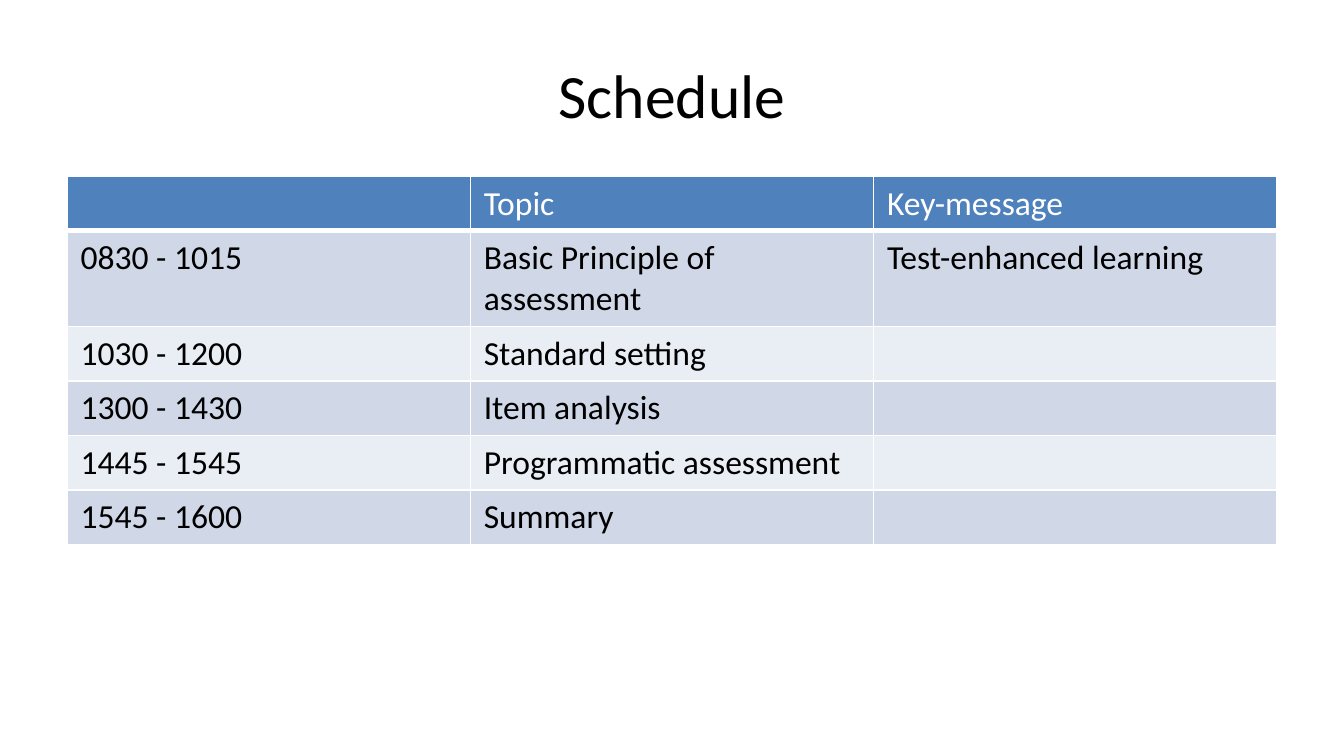
"""Build the schedule slide with its title and timetable."""
import dataclasses

import lxml.etree
import pptx
import pptx.dml.color
import pptx.enum.text
import pptx.oxml.ns
import pptx.slide
import pptx.table
import pptx.text.text
import pptx.util

Pt = pptx.util.Pt
RGBColor = pptx.dml.color.RGBColor

BLACK = RGBColor(0x00, 0x00, 0x00)
WHITE = RGBColor(0xFF, 0xFF, 0xFF)
HEADER_BLUE = RGBColor(0x4F, 0x81, 0xBD)
BAND_DARK = RGBColor(0xD0, 0xD8, 0xE8)
BAND_LIGHT = RGBColor(0xE9, 0xED, 0xF4)

LEFT, WIDTH = 36, 648
TITLE_TOP, TITLE_HEIGHT = 16.5, 67.5
TABLE_TOP = 94.5
LINE_HEIGHT, CELL_PADDING = 22, 7.2


@dataclasses.dataclass(frozen=True)
class Session:
    time: str
    topic: str
    message: str = ""
    lines: int = 1


HEADER = Session("", "Topic", "Key-message")
SESSIONS = [
    Session("0830 - 1015", "Basic Principle of assessment", "Test-enhanced learning", 2),
    Session("1030 - 1200", "Standard setting"),
    Session("1300 - 1430", "Item analysis"),
    Session("1445 - 1545", "Programmatic assessment"),
    Session("1545 - 1600", "Summary"),
]


def write_text(paragraph: pptx.text.text._Paragraph, text: str, size: float, color: RGBColor) -> None:
    if text:
        paragraph.add_run().text = text
    font_format = {"name": "Calibri", "size": Pt(size), "bold": False}
    for font in [paragraph.font, *(run.font for run in paragraph.runs)]:
        for attribute, value in font_format.items():
            setattr(font, attribute, value)
        font.color.rgb = color


def set_borders(cell: pptx.table._Cell, bottom_width: float) -> None:
    qualified = pptx.oxml.ns.qn
    properties = cell._tc.get_or_add_tcPr()
    for side, width in {"L": 1, "R": 1, "T": 1, "B": bottom_width}.items():
        line = lxml.etree.SubElement(properties, qualified(f"a:ln{side}"), w=str(Pt(width)))
        fill = lxml.etree.SubElement(line, qualified("a:solidFill"))
        lxml.etree.SubElement(fill, qualified("a:srgbClr"), val=str(WHITE))


def add_title(slide: pptx.slide.Slide, text: str) -> None:
    shape = slide.shapes.add_textbox(Pt(LEFT), Pt(TITLE_TOP), Pt(WIDTH), Pt(TITLE_HEIGHT))
    frame_format = {"word_wrap": True, "vertical_anchor": pptx.enum.text.MSO_ANCHOR.MIDDLE}
    for attribute, value in frame_format.items():
        setattr(shape.text_frame, attribute, value)
    paragraph = shape.text_frame.paragraphs[0]
    paragraph.alignment = pptx.enum.text.PP_ALIGN.CENTER
    write_text(paragraph, text, 33, BLACK)


def add_schedule(slide: pptx.slide.Slide, sessions: list[Session]) -> None:
    rows = [HEADER, *sessions]
    heights = [session.lines * LINE_HEIGHT + CELL_PADDING for session in rows]
    table = slide.shapes.add_table(
        len(rows), 3, Pt(LEFT), Pt(TABLE_TOP), Pt(WIDTH), Pt(sum(heights))
    ).table
    for row_index, (session, height) in enumerate(zip(rows, heights)):
        table.rows[row_index].height = Pt(height)
        is_header = row_index == 0
        band = BAND_DARK if row_index % 2 else BAND_LIGHT
        texts = (session.time, session.topic, session.message)
        for cell, text in zip(table.rows[row_index].cells, texts):
            set_borders(cell, 3 if is_header else 1)
            cell.fill.solid()
            cell.fill.fore_color.rgb = HEADER_BLUE if is_header else band
            write_text(cell.text_frame.paragraphs[0], text, 18, WHITE if is_header else BLACK)


def main() -> None:
    presentation = pptx.Presentation()
    presentation.slide_width = Pt(720)
    presentation.slide_height = Pt(405)
    slide = presentation.slides.add_slide(presentation.slide_layouts[6])
    add_title(slide, "Schedule")
    add_schedule(slide, SESSIONS)
    presentation.save("out.pptx")


if __name__ == "__main__":
    main()
